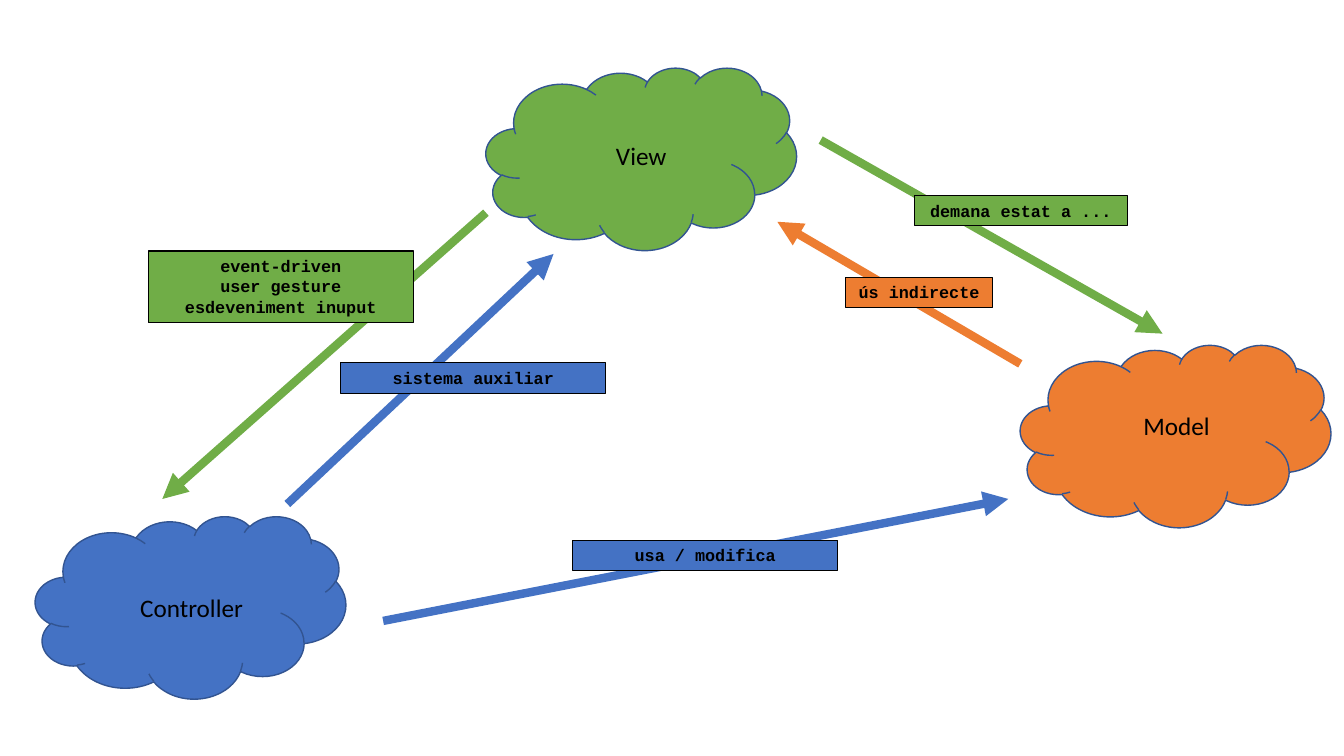
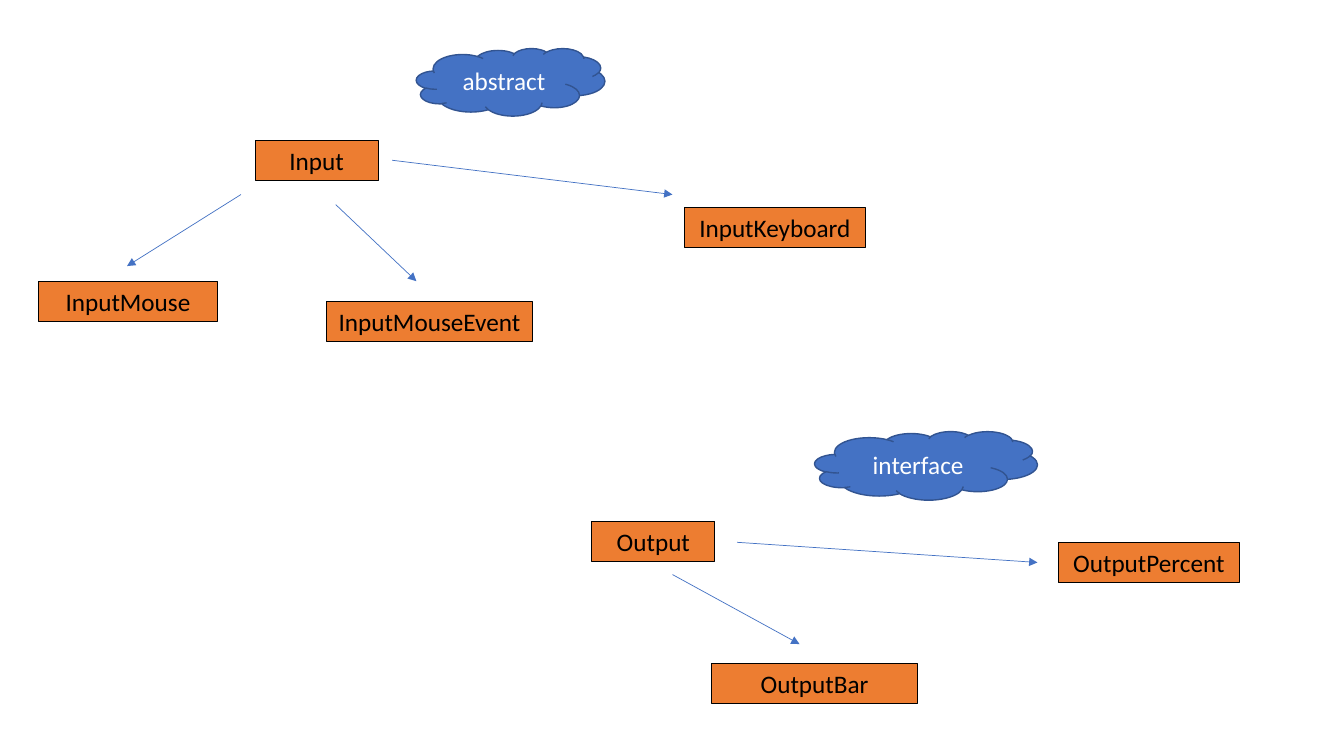
import pptx
import pptx.dml.color
import pptx.enum.dml
import pptx.enum.shapes
import pptx.enum.text
import pptx.oxml.ns
import pptx.util
import lxml.etree

PX = 9144  # EMU in one px, 100 px to the inch
BLUE, ORANGE, GREEN = "4472C4", "ED7D31", "70AD47"
BLACK, WHITE, OUTLINE = "000000", "FFFFFF", "325491"


def px(*lengths):
    return [pptx.util.Emu(length * PX) for length in lengths]


def color(hex_string):
    return pptx.dml.color.RGBColor.from_string(hex_string)


def write_text(shape, text, font="Calibri", size=18, bold=False, ink=BLACK):
    """Write each line of text as one centred paragraph."""
    frame = shape.text_frame
    frame.word_wrap = True
    for index, line in enumerate(text.split("\n")):
        paragraph = frame.add_paragraph() if index else frame.paragraphs[0]
        paragraph.alignment = pptx.enum.text.PP_ALIGN.CENTER
        run = paragraph.add_run()
        run.text = line
        run.font.name = font
        run.font.size = pptx.util.Pt(size)
        run.font.bold = bold
        run.font.color.rgb = color(ink)


class Diagram:
    """Holds the presentation, its style and the current slide."""

    def __init__(self):
        self.presentation = pptx.Presentation()
        self.presentation.slide_width, self.presentation.slide_height = px(1333, 750)
        self.slide = None

    def new_slide(self):
        blank_layout = self.presentation.slide_layouts[6]
        self.slide = self.presentation.slides.add_slide(blank_layout)

    def cloud(self, left, top, width, height, fill, text=None):
        shape = self.slide.shapes.add_shape(
            pptx.enum.shapes.MSO_SHAPE.CLOUD, *px(left, top, width, height))
        shape.shadow.inherit = False
        shape.fill.solid()
        shape.fill.fore_color.rgb = color(fill)
        shape.line.color.rgb = color(OUTLINE)
        shape.line.width = pptx.util.Pt(1)
        if text:
            shape.text_frame.vertical_anchor = pptx.enum.text.MSO_ANCHOR.MIDDLE
            write_text(shape, text, ink=WHITE)

    def box(self, left, top, width, text, fill, height=40, border=True, **text_format):
        shape = self.slide.shapes.add_textbox(*px(left, top, width, height))
        shape.fill.solid()
        shape.fill.fore_color.rgb = color(fill)
        if border:
            shape.line.color.rgb = color(BLACK)
            shape.line.width = pptx.util.Pt(0.75)
        write_text(shape, text, **text_format)
        shape.text_frame.auto_size = pptx.enum.text.MSO_AUTO_SIZE.SHAPE_TO_FIT_TEXT

    def code_label(self, left, top, width, text, fill, height=30):
        self.box(left, top, width, text, fill, height,
                 font="Courier New", size=12, bold=True)

    def arrow(self, start_x, start_y, end_x, end_y, stroke=BLUE, weight=0.5):
        connector = self.slide.shapes.add_connector(
            pptx.enum.shapes.MSO_CONNECTOR.STRAIGHT,
            *px(start_x, start_y, end_x, end_y))
        connector.line.color.rgb = color(stroke)
        connector.line.width = pptx.util.Pt(weight)
        qualify = pptx.oxml.ns.qn
        properties = connector._element.spPr
        line = properties.find(qualify("a:ln"))
        lxml.etree.SubElement(line, qualify("a:tailEnd"), type="triangle")
        lxml.etree.SubElement(properties, qualify("a:effectLst"))


def build_mvc_slide(diagram):
    diagram.new_slide()

    # Component clouds
    for left, top, fill in [(35, 512, BLUE), (1012, 342, ORANGE), (482, 67, GREEN)]:
        diagram.cloud(left, top, 308, 181, fill)

    # Component names
    for left, top, name, fill in [
        (126, 583, "Controller", BLUE),
        (572, 134, "View", GREEN),
        (1103, 402, "Model", ORANGE),
    ]:
        diagram.box(left, top, 128, name, fill, border=False)

    # Relations between components
    for *ends, stroke in [
        (285, 500, 549, 252, BLUE),
        (380, 616, 1000, 495, BLUE),
        (482, 211, 161, 495, GREEN),
        (814, 139, 1153, 331, GREEN),
        (1012, 361, 771, 220, ORANGE),
    ]:
        diagram.arrow(*ends, stroke=stroke, weight=6)

    # Relation labels
    diagram.code_label(147, 249, 263,
                       "event-driven\nuser gesture\nesdeveniment inuput",
                       GREEN, height=71)
    diagram.code_label(907, 194, 211, "demana estat a ...", GREEN)
    diagram.code_label(839, 275, 145, "ús indirecte", ORANGE)
    diagram.code_label(568, 536, 263, "usa / modifica", BLUE)
    diagram.code_label(338, 360, 263, "sistema auxiliar", BLUE)


def build_class_slide(diagram):
    diagram.new_slide()

    # Classes
    for left, top, width, name in [
        (679, 206, 179, "InputKeyboard"),
        (38, 279, 178, "InputMouse"),
        (324, 299, 204, "InputMouseEvent"),
        (253, 139, 122, "Input"),
        (1050, 538, 179, "OutputPercent"),
        (706, 658, 204, "OutputBar"),
        (587, 517, 122, "Output"),
    ]:
        diagram.box(left, top, width, name, ORANGE)

    # Kinds of base class
    diagram.cloud(413, 48, 187, 67, BLUE, "abstract")
    diagram.cloud(808, 428, 221, 68, BLUE, "interface")

    # Inheritance arrows
    for ends in [
        (239, 193, 126, 264),
        (333, 203, 413, 279),
        (389, 159, 667, 193),
        (731, 538, 1029, 558),
        (667, 570, 793, 639),
    ]:
        diagram.arrow(*ends)


def main():
    diagram = Diagram()
    build_mvc_slide(diagram)
    build_class_slide(diagram)
    diagram.presentation.save("out.pptx")


if __name__ == "__main__":
    main()
